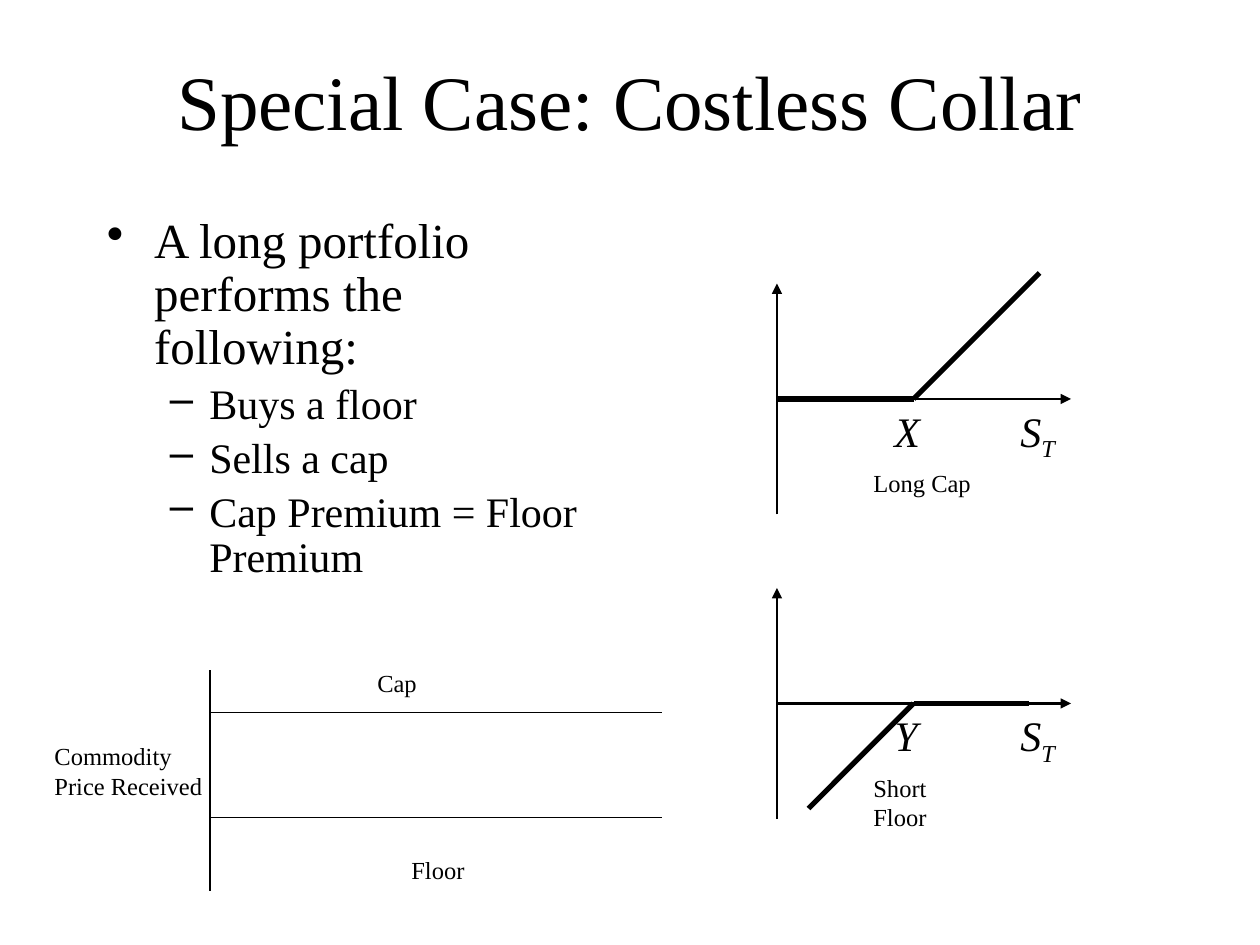
import pptx
import pptx.util
import pptx.dml.color
import pptx.enum.shapes
import pptx.enum.text
import pptx.oxml.ns
import lxml.etree

Pt = pptx.util.Pt
qn = pptx.oxml.ns.qn
ALIGN = pptx.enum.text.PP_ALIGN
ANCHOR = pptx.enum.text.MSO_ANCHOR
COLORS = {"ink": "000000", "paper": "FFFFFF"}


def write(paragraph, text, size=14, italic=False, baseline=None, font="Times New Roman", color="ink"):
    run = paragraph.add_run()
    run.text = text
    run.font.name = font
    run.font.size = Pt(size)
    run.font.italic = italic
    run.font.color.rgb = pptx.dml.color.RGBColor.from_string(COLORS[color])
    if baseline is not None:
        run.font._element.set("baseline", str(baseline * 1000))


class SlideBuilder:
    def __init__(self, slide):
        self.slide = slide
        self.shapes = slide.shapes
        background = slide.background.fill
        background.solid()
        background.fore_color.rgb = pptx.dml.color.RGBColor.from_string(COLORS["paper"])

    def start_group(self):
        self.shapes = self.slide.shapes.add_group_shape().shapes

    def end_group(self):
        self.shapes = self.slide.shapes

    def frame(self, left, top, width, height, wrap=False, anchor=ANCHOR.TOP):
        box = self.shapes.add_textbox(Pt(left), Pt(top), Pt(width), Pt(height))
        box.text_frame.word_wrap = wrap
        box.text_frame.vertical_anchor = anchor
        return box.text_frame

    def label(self, text, left, top, width, height=24, wrap=False, anchor=ANCHOR.TOP,
              align=ALIGN.LEFT, before=0, subscript=None, **style):
        frame = self.frame(left, top, width, height, wrap, anchor)
        for index, words in enumerate(text.split("\n")):
            paragraph = frame.add_paragraph() if index else frame.paragraphs[0]
            paragraph.alignment = align
            paragraph.space_before = Pt(before)
            write(paragraph, words, **style)
        if subscript:
            write(paragraph, subscript, baseline=-25, **style)

    def bullets(self, items, left, top, width, height):
        levels = [("•", 27, -27, 28), ("–", 58.5, -22.5, 24)]
        frame = self.frame(left, top, width, height, wrap=True)
        for index, (level, words) in enumerate(items):
            mark, margin, indent, size = levels[level]
            paragraph = frame.add_paragraph() if index else frame.paragraphs[0]
            paragraph.level = level
            paragraph.line_spacing = 0.9
            paragraph.space_before = Pt(size * 0.2)
            properties = paragraph._p.get_or_add_pPr()
            properties.set("marL", str(Pt(margin)))
            properties.set("indent", str(Pt(indent)))
            lxml.etree.SubElement(properties, qn("a:buChar")).set("char", mark)
            write(paragraph, words, size=size)

    def line(self, x1, y1, x2, y2, weight=0.75, arrow=False):
        connector = self.shapes.add_connector(
            pptx.enum.shapes.MSO_CONNECTOR.STRAIGHT, Pt(x1), Pt(y1), Pt(x2), Pt(y2))
        connector.line.width = Pt(weight)
        connector.line.color.rgb = pptx.dml.color.RGBColor.from_string(COLORS["ink"])
        if arrow:
            lxml.etree.SubElement(connector.line._get_or_add_ln(), qn("a:tailEnd")).set("type", "triangle")
        lxml.etree.SubElement(connector._element.spPr, qn("a:effectLst"))

    def payoff(self, axis_y, strike, caption, caption_width, segments):
        self.start_group()
        self.line(444, axis_y + 66, 444, axis_y - 66, weight=1.5, arrow=True)
        self.line(444, axis_y, 612, axis_y, weight=1.5, arrow=True)
        self.label(strike, 504, axis_y, 29, 36, size=24, italic=True)
        self.label("S", 576, axis_y, 35, 36, subscript="T", size=24, italic=True)
        for x1, rise1, x2, rise2 in segments:
            self.line(x1, axis_y - rise1, x2, axis_y - rise2, weight=3)
        self.label(caption, 492, axis_y + 36, caption_width, wrap=True, before=7)
        self.end_group()


def main():
    deck = pptx.Presentation()
    deck.slide_width, deck.slide_height = Pt(720), Pt(540)
    builder = SlideBuilder(deck.slides.add_slide(deck.slide_layouts[6]))

    builder.label("Special Case: Costless Collar", 54, 12, 612, 90, wrap=True,
                  anchor=ANCHOR.MIDDLE, align=ALIGN.CENTER, size=44)
    builder.bullets([
        (0, "A long portfolio performs the following:"),
        (1, "Buys a floor"),
        (1, "Sells a cap"),
        (1, "Cap Premium = Floor Premium"),
    ], 54, 120, 300, 227)

    builder.payoff(228, "X", "Long Cap", 102, [(522, 0, 594, 72), (444, 0, 522, 0)])
    builder.payoff(402, "Y", "Short Floor", 78, [(522, 0, 588, 0), (462, -60, 522, 0)])

    builder.line(120, 383, 120, 509)
    for bound_y in (467, 407):
        builder.line(120, bound_y, 378, bound_y)
    builder.label("Cap", 208.5, 378, 37.5)
    builder.label("Floor", 228, 485, 45)
    builder.label("Commodity\nPrice Received", 24, 420, 99, 41)

    deck.save("out.pptx")


if __name__ == "__main__":
    main()
